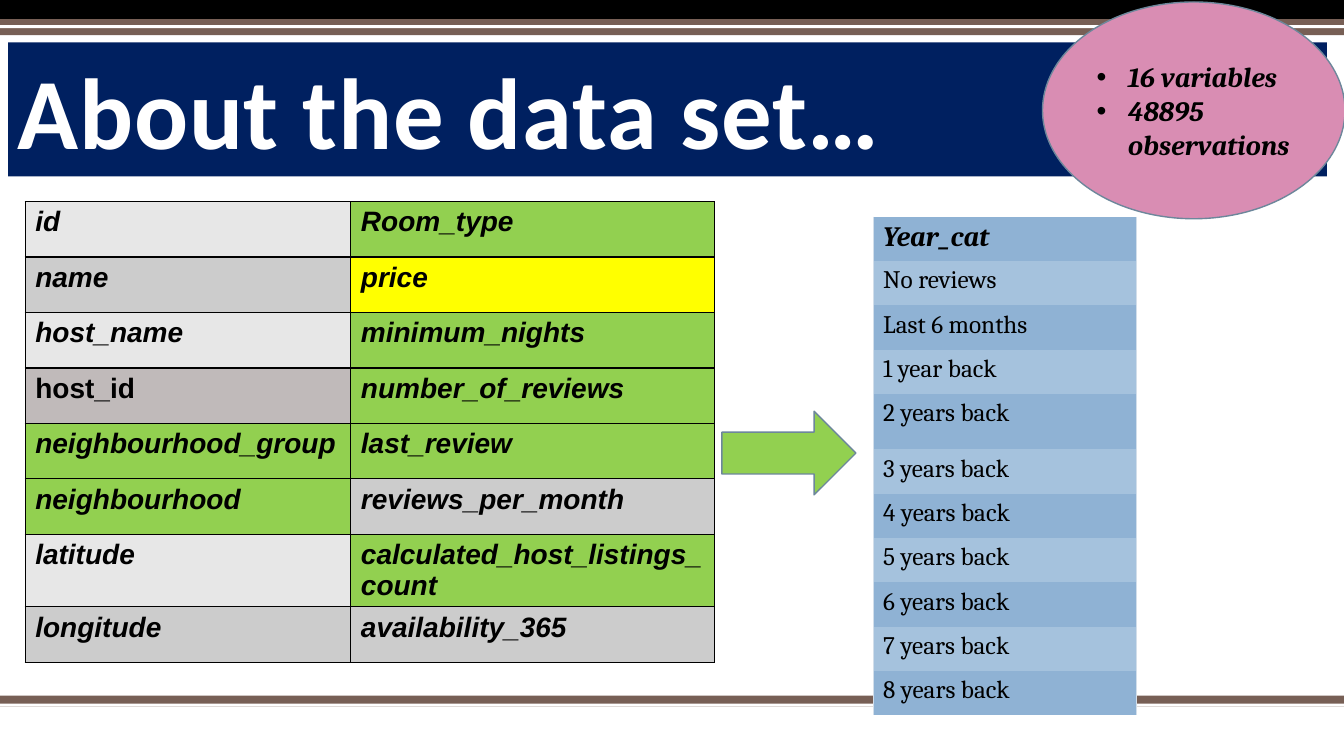
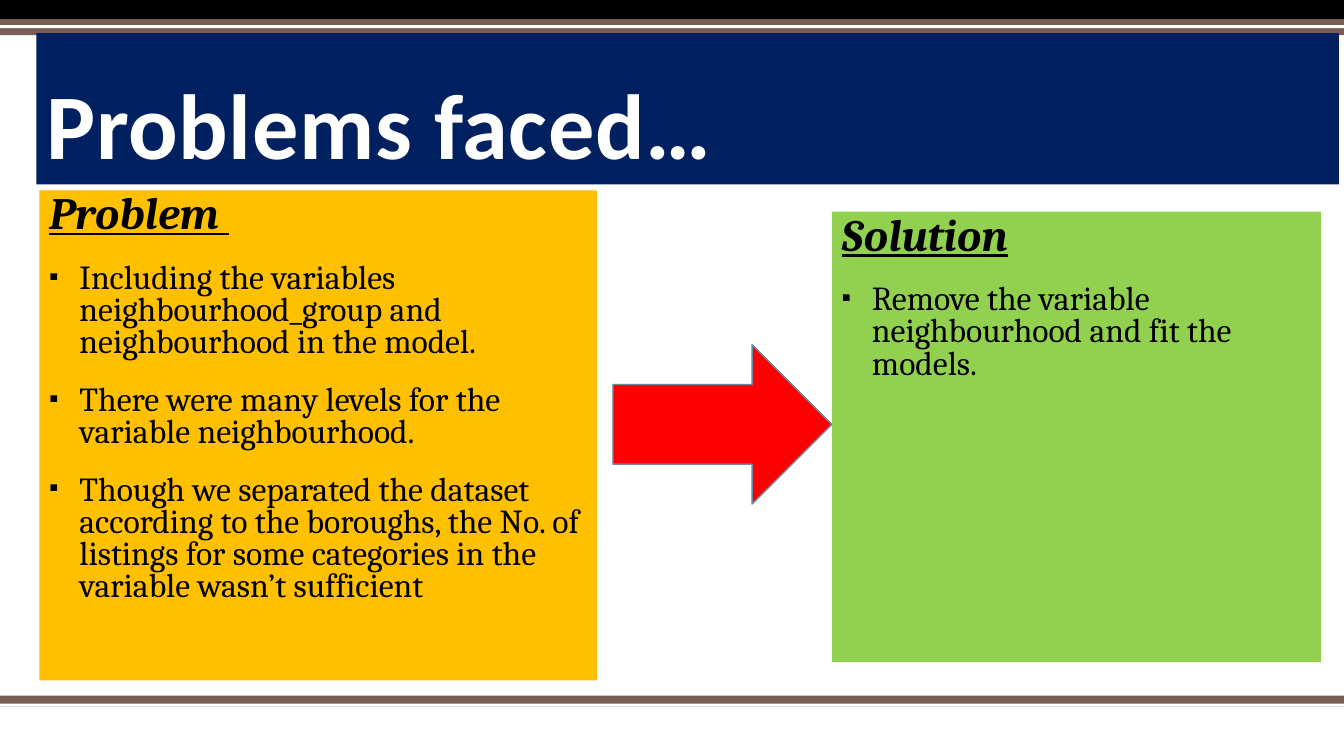
"""Build two slides on a data set and the problems met in it."""
from pptx import Presentation
from pptx.dml.color import RGBColor
from pptx.enum.shapes import MSO_SHAPE as Kind
from pptx.enum.text import MSO_ANCHOR as Anchor, PP_ALIGN as Align
from pptx.oxml.ns import qn
from pptx.util import Inches, Pt
from lxml.etree import SubElement as add_node

BLACK, WHITE, NAVY, BROWN = "000000", "FFFFFF", "002060", "775F55"
GREEN, GOLD, RED, PINK, YELLOW = "92D050", "FFC000", "FF0000", "D98DB3", "FFFF00"
PALE, GREY, WARM = "E7E7E7", "CCCCCC", "C0BABA"
BLUE, SKY, EDGE, RIM = "8FB2D4", "A5C2DD", "D2DEEA", "6D879B"
WIDE, HIGH = 13.33, 7.5

BANDS = [(6.9, 0.11, BROWN), (6.98, 0.03, WHITE), (0, 0.19, BLACK),
         (0.19, 0.16, BROWN), (0.25, 0.03, WHITE)]
FIELDS = [
    [("id", PALE), ("Room_type", GREEN)],
    [("name", GREY), ("price", YELLOW)],
    [("host_name", PALE), ("minimum_nights", GREEN)],
    [("host_id", WARM), ("number_of_reviews", GREEN)],
    [("neighbourhood_group", GREEN), ("last_review", GREEN)],
    [("neighbourhood", GREEN), ("reviews_per_month", GREY)],
    [("latitude", PALE), ("calculated_host_listings_count", GREEN)],
    [("longitude", GREY), ("availability_365", GREY)],
]
YEARS = ["No reviews", "Last 6 months", "1 year back"] + [f"{n} years back" for n in range(2, 9)]
ISSUES = [
    "Including the variables neighbourhood_group and neighbourhood in the model.",
    "There were many levels for the variable neighbourhood.",
    "Though we separated the dataset according to the boroughs, the No. of listings "
    "for some categories in the variable wasn’t sufficient",
]
FIXES = ["Remove the variable neighbourhood and fit the models."]


def paint(form, tone):
    """Set a fill or font colour from a hex string."""
    form.rgb = RGBColor.from_string(tone)


def fill(part, tone):
    """Give a shape or cell a solid fill."""
    part.fill.solid()
    paint(part.fill.fore_color, tone)


def shape(slide, kind, box, tone, line=None):
    """Add a flat preset shape in the given box."""
    item = slide.shapes.add_shape(kind, *map(Inches, box))
    item.shadow.inherit = False
    fill(item, tone)
    if line:
        paint(item.line.color, line)
        item.line.width = Pt(1)
    else:
        item.line.fill.background()
    return item


def mark(para, sign, indent, scale=100):
    """Give a paragraph a hanging bullet."""
    props = para._p.get_or_add_pPr()
    props.set("marL", str(Inches(indent)))
    props.set("indent", str(-Inches(indent)))
    tint = add_node(props, qn("a:buClr"))
    add_node(tint, qn("a:srgbClr"), val=BLACK)
    add_node(props, qn("a:buSzPct"), val=str(scale * 1000))
    add_node(props, qn("a:buFont"), typeface="Arial")
    add_node(props, qn("a:buChar"), char=sign)


def write(frame, text, size=20, face="Cambria", tone=BLACK, bold=False, slant=False,
          under=None, bullet=None, lead=None, before=None, track=None):
    """Write one paragraph into a text frame."""
    para = frame.add_paragraph() if frame.text else frame.paragraphs[0]
    para.alignment = Align.LEFT
    if bullet:
        mark(para, *bullet)
    if lead:
        para.line_spacing = lead
    if before:
        para.space_before = Pt(before)
    run = para.add_run()
    run.text = text
    font = run.font
    font.size, font.name = Pt(size), face
    font.bold, font.italic, font.underline = bold, slant, under
    paint(font.color, tone)
    if track:
        run._r.get_or_add_rPr().set("spc", str(track))


def rule(cell, sides, tone=None, width=1):
    """Draw the named cell borders, or clear them when no colour is given."""
    props = cell._tc.get_or_add_tcPr()
    for side in sides:
        line = add_node(props, qn(f"a:ln{side}"), w=str(Pt(width)))
        if tone:
            solid = add_node(line, qn("a:solidFill"))
            add_node(solid, qn("a:srgbClr"), val=tone)
        else:
            add_node(line, qn("a:noFill"))


def grid(slide, spot, widths, heights):
    """Add an empty table with set columns and rows."""
    size = sum(widths), sum(heights)
    frame = slide.shapes.add_table(len(heights), len(widths), *map(Inches, spot + size))
    table = frame.table
    for col, width in zip(table.columns, widths):
        col.width = Inches(width)
    for row, height in zip(table.rows, heights):
        row.height = Inches(height)
    return table


def base(deck, title, box, size):
    """Add a slide with the shared bands and a title bar."""
    slide = deck.slides.add_slide(deck.slide_layouts[6])
    for top, height, tone in BANDS:
        shape(slide, Kind.RECTANGLE, (0, top, WIDE, height), tone)
    frame = shape(slide, Kind.RECTANGLE, box, NAVY).text_frame
    frame.vertical_anchor = Anchor.BOTTOM
    write(frame, title, size, "Calibri", WHITE, bold=True, lead=0.9, track=50)
    return slide


def fields(slide, spot):
    """Place the table of variables."""
    table = grid(slide, spot, [3.23, 3.61], [0.55] * len(FIELDS))
    for r, row in enumerate(FIELDS):
        for c, (name, tone) in enumerate(row):
            cell = table.cell(r, c)
            rule(cell, "LRTB", BLACK)
            fill(cell, tone)
            write(cell.text_frame, name, face="Arial", bold=True, slant=name != "host_id")


def years(slide, spot):
    """Place the table of review years."""
    heights = [0.55 if n == 4 else 0.44 for n in range(len(YEARS) + 1)]
    table = grid(slide, spot, [2.61], heights)
    for r, text in enumerate(["Year_cat"] + YEARS):
        cell, head = table.cell(r, 0), r == 0
        rule(cell, "LR", EDGE, 0.5)
        rule(cell, "TB")
        fill(cell, SKY if r % 2 else BLUE)
        write(cell.text_frame, text, 20 if head else 18, bold=head, slant=head)


def facts(slide, box):
    """Place the oval with the size of the data."""
    frame = shape(slide, Kind.OVAL, box, PINK, RIM).text_frame
    for text in ("16 variables", "48895 observations"):
        write(frame, text, bold=True, slant=True, bullet=("•", 0.31))


def panel(slide, box, tone, head, points):
    """Place a filled panel with a heading and bullets."""
    frame = shape(slide, Kind.RECTANGLE, box, tone).text_frame
    frame.vertical_anchor = Anchor.TOP
    write(frame, head, 32, bold=True, slant=True, under=True, lead=0.8)
    for text in points:
        write(frame, text, 24, bullet=("▪", 0.3, 80), lead=0.8, before=18)


def data(deck):
    """Build the slide about the data set."""
    slide = base(deck, "About the data set…", (0.08, 0.42, 13.08, 1.33), 72)
    fields(slide, (0.25, 2))
    facts(slide, (10.34, 0.02, 3, 2.15))
    shape(slide, Kind.RIGHT_ARROW, (7.16, 4.08, 1.33, 0.83), GREEN, RIM)
    years(slide, (8.66, 2.15))


def issues(deck):
    """Build the slide about problems and the solution."""
    slide = base(deck, "Problems faced…", (0.36, 0.33, 12.92, 1.5), 66)
    panel(slide, (0.39, 1.89, 5.53, 4.86), GOLD, "Problem ", ISSUES)
    panel(slide, (8.25, 2.1, 4.85, 4.47), GREEN, "Solution", FIXES)
    shape(slide, Kind.RIGHT_ARROW, (6.08, 3.42, 2.17, 1.58), RED, RIM)


def main():
    """Build and save the deck."""
    deck = Presentation()
    deck.slide_width, deck.slide_height = Inches(WIDE), Inches(HIGH)
    data(deck)
    issues(deck)
    deck.save("out.pptx")


if __name__ == "__main__":
    main()
